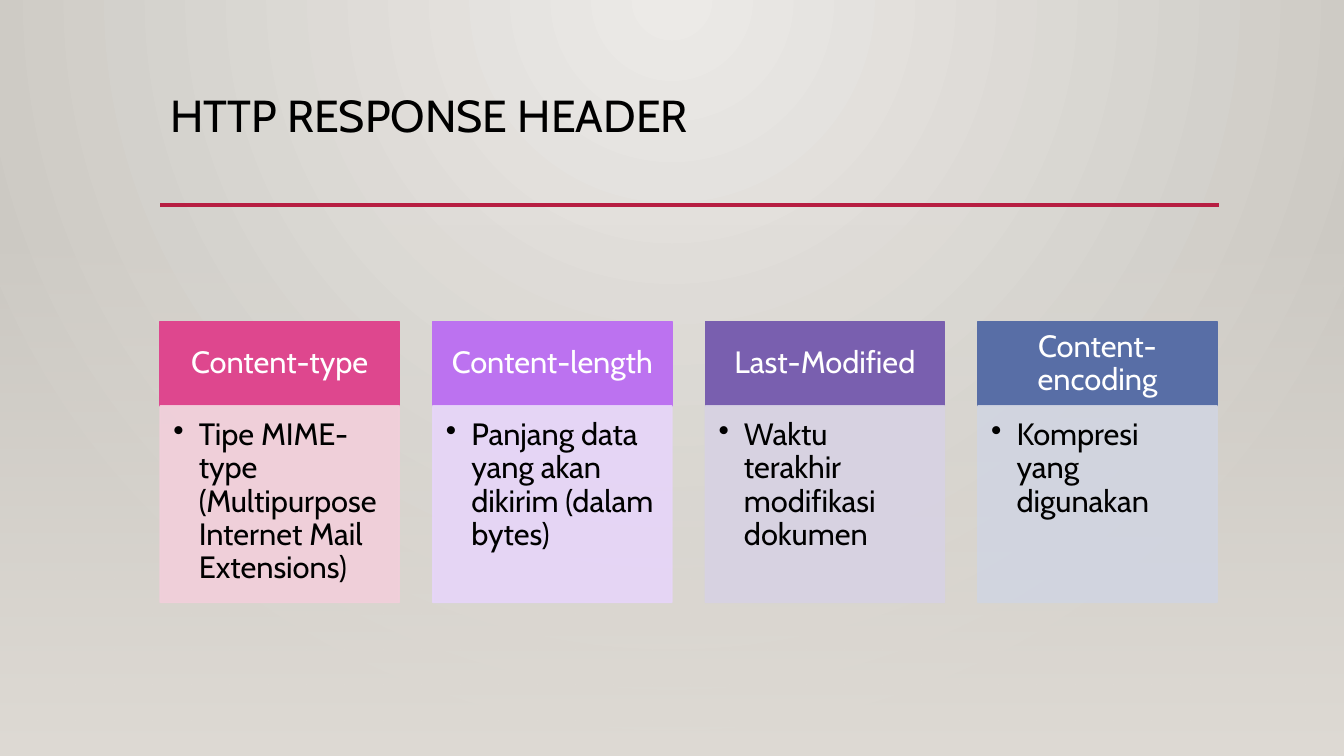
from lxml.etree import SubElement
from pptx import Presentation
from pptx.dml.color import RGBColor
from pptx.enum.shapes import MSO_CONNECTOR as Connector, MSO_SHAPE as Preset
from pptx.enum.text import MSO_ANCHOR as Anchor, PP_ALIGN as Align
from pptx.oxml.ns import qn
from pptx.util import Cm, Pt

BLACK = RGBColor(0x00, 0x00, 0x00)
WHITE = RGBColor(0xFF, 0xFF, 0xFF)
CRIMSON = RGBColor(0xB7, 0x1E, 0x42)
GLOW = RGBColor(0xEC, 0xEA, 0xE7)
EDGE = RGBColor(0xCA, 0xC7, 0xC1)
FLOOR = RGBColor(0xDF, 0xDB, 0xD5)
PINK, PALE_PINK = RGBColor(0xDE, 0x47, 0x8E), RGBColor(0xF2, 0xCF, 0xDB)
ORCHID, PALE_ORCHID = RGBColor(0xBC, 0x72, 0xF0), RGBColor(0xE7, 0xD5, 0xF9)
VIOLET, PALE_VIOLET = RGBColor(0x79, 0x5F, 0xAF), RGBColor(0xD7, 0xD2, 0xE3)
BLUE, PALE_BLUE = RGBColor(0x58, 0x6E, 0xA6), RGBColor(0xD1, 0xD5, 0xE1)

LEFT, CONTENT_WIDTH = 4.04, 26.67
CARD_WIDTH, CARD_PITCH = 6.02, 6.87
HEAD_TOP, HEAD_HEIGHT, BODY_HEIGHT = 8.1, 2.13, 4.95
HEAD_INSETS = (0.43, 0.25, 0.43, 0.25)
BODY_INSETS = (0.33, 0.33, 0.43, 0.48)

CARDS = [
    ("Content-type", "Tipe MIME-type (Multipurpose Internet Mail Extensions)", PINK, PALE_PINK),
    ("Content-length", "Panjang data yang akan dikirim (dalam bytes)", ORCHID, PALE_ORCHID),
    ("Last-Modified", "Waktu terakhir modifikasi dokumen", VIOLET, PALE_VIOLET),
    ("Content-encoding", "Kompresi yang digunakan", BLUE, PALE_BLUE),
]


class HeaderSlide:
    """Holds the text style and the current slide, and draws its elements."""

    font_name = "Cabin"
    line_spacing = 0.9

    def __init__(self, page):
        self.page = page

    def set_alpha(self, color_element, percent):
        SubElement(color_element, qn("a:alpha")).set("val", str(percent * 1000))

    def grade(self, fill, first, last):
        fill.gradient()
        for stop, color in zip(fill.gradient_stops, (first, last)):
            stop.color.rgb = color

    def background(self, center, edge):
        self.grade(self.page.background.fill, center, edge)
        gradient = next(self.page.element.iter(qn("a:gradFill")))
        gradient.remove(gradient.find(qn("a:lin")))
        circle = SubElement(gradient, qn("a:path"))
        circle.set("path", "circle")
        focus = SubElement(circle, qn("a:fillToRect"))
        for side, value in (("l", "43000"), ("r", "43000"), ("b", "100000")):
            focus.set(side, value)

    def rectangle(self, left, top, width, height):
        box = self.page.shapes.add_shape(
            Preset.RECTANGLE, Cm(left), Cm(top), Cm(width), Cm(height))
        box.shadow.inherit = False
        return box

    def fade(self, top, width, height, color):
        box = self.rectangle(0, top, width, height)
        box.line.fill.background()
        self.grade(box.fill, color, color)
        box.fill.gradient_angle = 270
        self.set_alpha(next(box.element.spPr.iter(qn("a:srgbClr"))), 0)

    def rule(self, left, top, width, color):
        line = self.page.shapes.add_connector(
            Connector.STRAIGHT, Cm(left), Cm(top), Cm(left + width), Cm(top))
        line.line.color.rgb = color
        line.line.width = Pt(2.5)
        SubElement(line.element.spPr, qn("a:effectLst"))

    def label(self, box, text, size, color, insets, anchor=Anchor.TOP, align=Align.LEFT):
        frame = box.text_frame
        frame.word_wrap = True
        frame.vertical_anchor = anchor
        (frame.margin_left, frame.margin_top,
         frame.margin_right, frame.margin_bottom) = map(Cm, insets)
        para = frame.paragraphs[0]
        para.text = text
        para.alignment = align
        para.line_spacing = self.line_spacing
        para.font.name = self.font_name
        para.font.size = Pt(size)
        para.font.color.rgb = color
        return para

    def title(self, text, left, top, width, height):
        box = self.page.shapes.add_textbox(Cm(left), Cm(top), Cm(width), Cm(height))
        self.label(box, text, 32, BLACK, (0.25, 0.13, 0.25, 0.13))

    def panel(self, left, top, height, color):
        box = self.rectangle(left, top, CARD_WIDTH, height)
        box.fill.solid()
        box.fill.fore_color.rgb = color
        box.line.color.rgb = color
        box.line.width = Pt(1.25)
        return box

    def bullet(self, para):
        properties = para._p.get_or_add_pPr()
        properties.set("marL", str(Cm(0.64)))
        properties.set("indent", str(-Cm(0.64)))
        mark = SubElement(properties, qn("a:buChar"))
        mark.set("char", "•")
        properties.find(qn("a:defRPr")).addprevious(mark)

    def card(self, left, heading, detail, color, pale):
        head = self.panel(left, HEAD_TOP, HEAD_HEIGHT, color)
        self.label(head, heading, 22, WHITE, HEAD_INSETS, Anchor.MIDDLE, Align.CENTER)
        body = self.panel(left, HEAD_TOP + HEAD_HEIGHT, BODY_HEIGHT, pale)
        for color_element in body.element.spPr.iter(qn("a:srgbClr")):
            self.set_alpha(color_element, 90)
        self.bullet(self.label(body, detail, 22, BLACK, BODY_INSETS))


def main():
    deck = Presentation()
    deck.slide_width, deck.slide_height = Cm(33.87), Cm(19.05)
    slide = HeaderSlide(deck.slides.add_slide(deck.slide_layouts[6]))
    slide.background(GLOW, EDGE)
    slide.title("HTTP RESPONSE HEADER", LEFT, 2.24, CONTENT_WIDTH, 2.92)
    slide.rule(LEFT, 5.16, CONTENT_WIDTH, CRIMSON)
    slide.fade(5.61, 33.87, 13.44, FLOOR)
    for column, card in enumerate(CARDS):
        slide.card(LEFT + column * CARD_PITCH, *card)
    deck.save("out.pptx")


if __name__ == "__main__":
    main()
